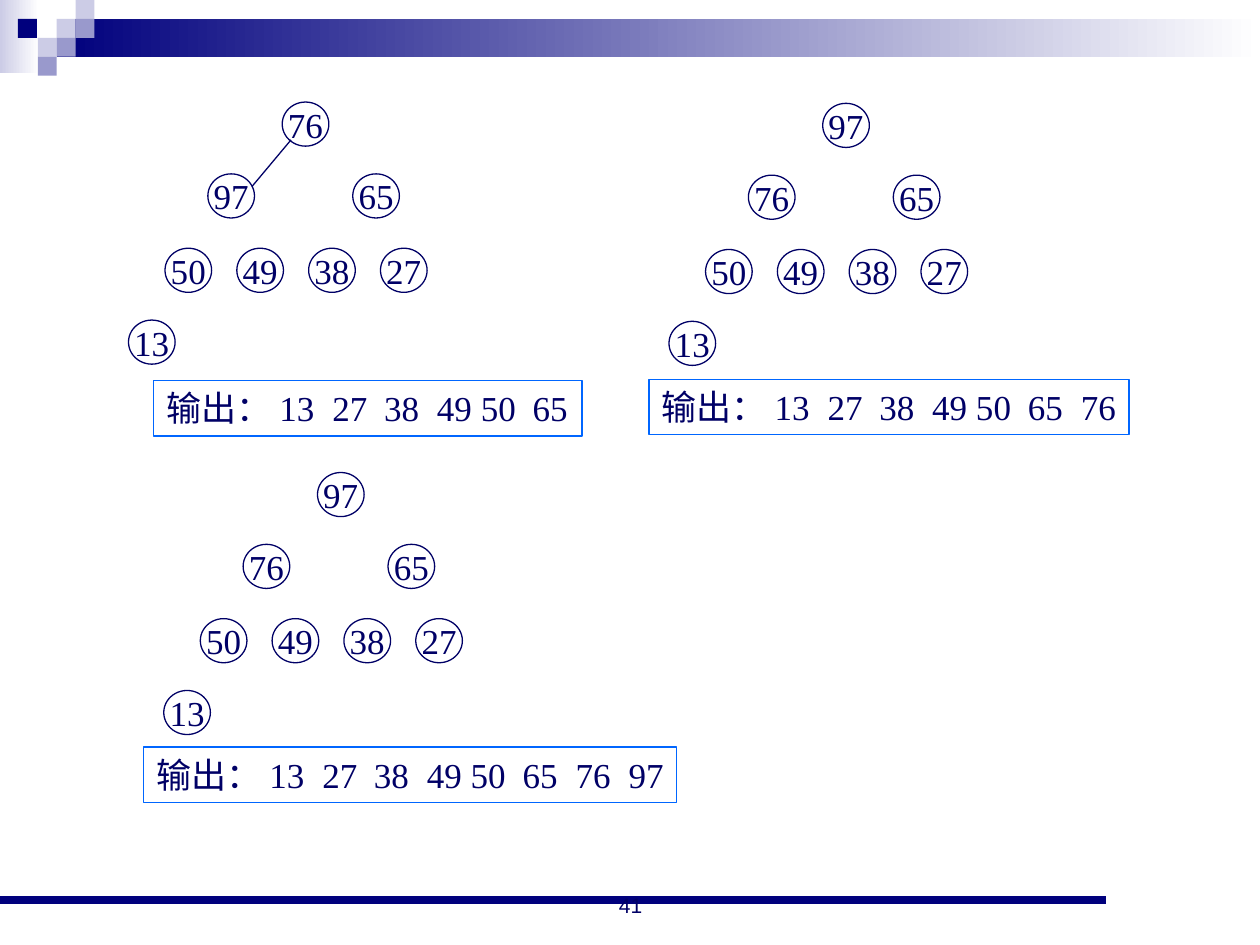
from lxml import etree
from pptx import Presentation
from pptx.dml.color import RGBColor
from pptx.enum.shapes import MSO_CONNECTOR, MSO_SHAPE
from pptx.enum.text import MSO_ANCHOR, PP_ALIGN
from pptx.oxml.ns import qn
from pptx.util import Inches, Pt

NAVY = RGBColor(0x00, 0x00, 0x7D)
INK = RGBColor(0x00, 0x00, 0x66)
LAVENDER = RGBColor(0xCC, 0xCC, 0xE6)
PERIWINKLE = RGBColor(0x99, 0x99, 0xCC)
WHITE = RGBColor(0xFF, 0xFF, 0xFF)
FRAME_BLUE = RGBColor(0x00, 0x66, 0xFF)
SWAP_RED = RGBColor(0xFF, 0x33, 0x00)

NODE_W, NODE_H = 0.37, 0.35
LEAF_PITCH = 0.57
# Heap nodes in level order, relative to the tree's top left corner
NODE_OFFSETS = [(1.22, 0), (0.63, 0.57), (1.78, 0.57),
                *((0.29 + LEAF_PITCH * leaf, 1.16) for leaf in range(4)), (0, 1.73)]
# Text positions of the output columns; 49 and 50 share the fourth
OUTPUT_STOPS = [0.9, 1.32, 1.73, 2.15, 2.91, 3.33, 3.75]

# Tree corner, heap in level order, output box, output columns
HEAP_STEPS = [
    ((1.02, 0.81), [76, 97, 65, 50, 49, 38, 27, 13], (1.22, 3.02, 3.4, 0.44),
     ["13", "27", "38", "49 50", "65"]),
    ((5.31, 0.82), [97, 76, 65, 50, 49, 38, 27, 13], (5.15, 3.01, 3.81, 0.44),
     ["13", "27", "38", "49 50", "65", "76"]),
    ((1.3, 3.75), [97, 76, 65, 50, 49, 38, 27, 13], (1.14, 5.93, 4.23, 0.44),
     ["13", "27", "38", "49 50", "65", "76", "97"]),
]


def write(shape, text, size=20, font="Times New Roman", color=INK, align=PP_ALIGN.CENTER,
          anchor=MSO_ANCHOR.MIDDLE, wrap=False, insets=(0, 0, 0, 0), stops=()):
    frame = shape.text_frame
    frame.word_wrap = wrap
    frame.vertical_anchor = anchor
    (frame.margin_left, frame.margin_top,
     frame.margin_right, frame.margin_bottom) = (Inches(inset) for inset in insets)
    paragraph = frame.paragraphs[0]
    paragraph.alignment = align
    if stops:
        tab_list = etree.SubElement(paragraph._p.get_or_add_pPr(), qn("a:tabLst"))
        for stop in stops:
            etree.SubElement(tab_list, qn("a:tab"), pos=str(Inches(stop)), algn="l")
    run = paragraph.add_run()
    run.text = text
    run.font.size = Pt(size)
    run.font.name = font
    run.font.color.rgb = color


def add_outlined(slide, kind, box, color):
    shape = slide.shapes.add_shape(kind, *map(Inches, box))
    shape.shadow.inherit = False
    shape.fill.background()
    shape.line.color.rgb = color
    shape.line.width = Pt(0.75)
    return shape


def add_block(slide, box, color, fade_to=None):
    """Add a borderless rectangle, optionally fading to the right."""
    block = slide.shapes.add_shape(MSO_SHAPE.RECTANGLE, *map(Inches, box))
    block.shadow.inherit = False
    block.line.fill.background()
    if fade_to is None:
        block.fill.solid()
        block.fill.fore_color.rgb = color
    else:
        block.fill.gradient()
        block.fill.gradient_angle = 0
        for stop, stop_color in zip(block.fill.gradient_stops, (color, fade_to)):
            stop.color.rgb = stop_color


def add_line(slide, start, end, color, width):
    line = slide.shapes.add_connector(MSO_CONNECTOR.STRAIGHT, *map(Inches, start + end))
    line.line.color.rgb = color
    line.line.width = Pt(width)
    etree.SubElement(line._element.spPr, qn("a:effectLst"))


def add_header(slide, left, top, width):
    add_block(slide, (left, top, 0.31, 0.58), LAVENDER, WHITE)
    add_block(slide, (left + 0.45, top + 0.15, width - 0.45, 0.3), NAVY, WHITE)
    side = 0.15
    for column, row, color in [(3, 1, LAVENDER), (4, 0, LAVENDER), (4, 1, PERIWINKLE),
                               (2, 2, LAVENDER), (0.95, 1, NAVY), (3, 2, PERIWINKLE),
                               (2, 3, PERIWINKLE)]:
        add_block(slide, (left + column * side, top + row * side, side, side), color)


def add_footer(slide, left, top, width):
    add_line(slide, (left, top), (left + width, top), NAVY, 4.5)
    number = slide.shapes.add_textbox(*map(Inches, (left + 3.42, top - 0.31, 3.17, 0.5)))
    write(number, "41", size=12, font="Arial", anchor=MSO_ANCHOR.BOTTOM, wrap=True,
          insets=(0.1, 0.05, 0.1, 0.05))


def add_heap(slide, left, top, values):
    for value, (dx, dy) in zip(values, NODE_OFFSETS):
        node = add_outlined(slide, MSO_SHAPE.OVAL,
                            (left + dx, top + dy, NODE_W, NODE_H), INK)
        write(node, str(value))


def add_output(slide, box, columns):
    output = add_outlined(slide, MSO_SHAPE.RECTANGLE, box, FRAME_BLUE)
    write(output, "\t".join(["输出：", *columns]), align=PP_ALIGN.LEFT,
          anchor=MSO_ANCHOR.TOP, wrap=True, insets=(0.1, 0.05, 0, 0.05),
          stops=OUTPUT_STOPS[:len(columns)])


def add_swap(slide, left, top):
    """Link the root to its left child and mark their exchange."""
    add_line(slide, (left + 1.29, top + 0.3), (left + 0.98, top + 0.67), INK, 0.75)
    points = [(left + dx, top + dy) for dx, dy in
              [(1.24, 0.09), (1.07, 0.15), (0.91, 0.2), (0.82, 0.29),
               (0.72, 0.37), (0.7, 0.49), (0.68, 0.62)]]
    builder = slide.shapes.build_freeform(*points[0], scale=Inches(1))
    builder.add_line_segments(points[1:], close=False)
    arrow = builder.convert_to_shape()
    # Each three points become the two handles and the end of one Bezier curve
    segments = list(arrow._element.iter(qn("a:lnTo")))
    for first in range(0, len(segments), 3):
        curve = etree.Element(qn("a:cubicBezTo"))
        segments[first].addprevious(curve)
        for segment in segments[first:first + 3]:
            curve.append(segment[0])
            segment.getparent().remove(segment)
    arrow.shadow.inherit = False
    arrow.fill.background()
    arrow.line.color.rgb = SWAP_RED
    arrow.line.width = Pt(0.75)
    for end in ("a:headEnd", "a:tailEnd"):
        etree.SubElement(arrow.line._get_or_add_ln(), qn(end), type="triangle")


def main():
    deck = Presentation()
    deck.slide_width, deck.slide_height = Inches(10), Inches(7.5)
    slide = deck.slides.add_slide(deck.slide_layouts[6])
    add_header(slide, 0, 0, 10)
    add_footer(slide, 0, 7.14, 8.78)
    for corner, values, output_box, columns in HEAP_STEPS:
        add_heap(slide, *corner, values)
        add_output(slide, output_box, columns)
    first_corner = HEAP_STEPS[0][0]
    add_swap(slide, *first_corner)
    deck.save("out.pptx")


if __name__ == "__main__":
    main()
